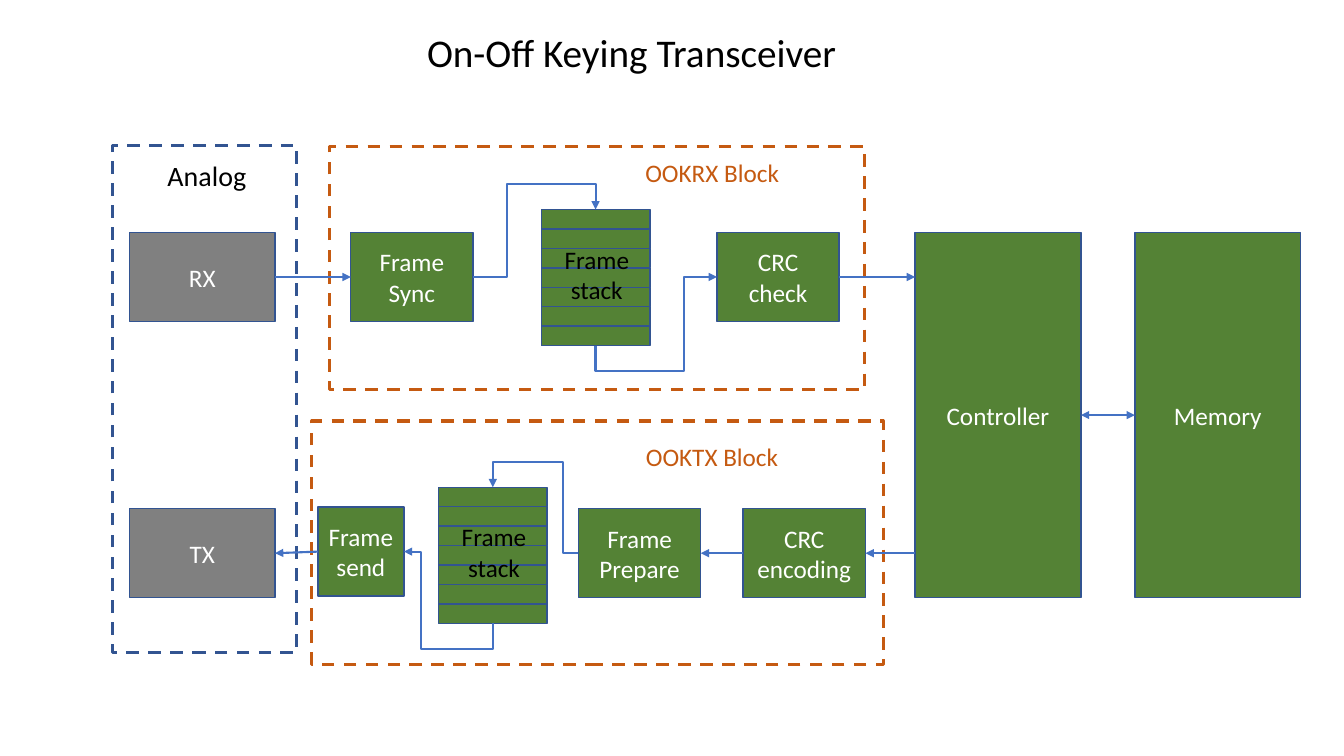
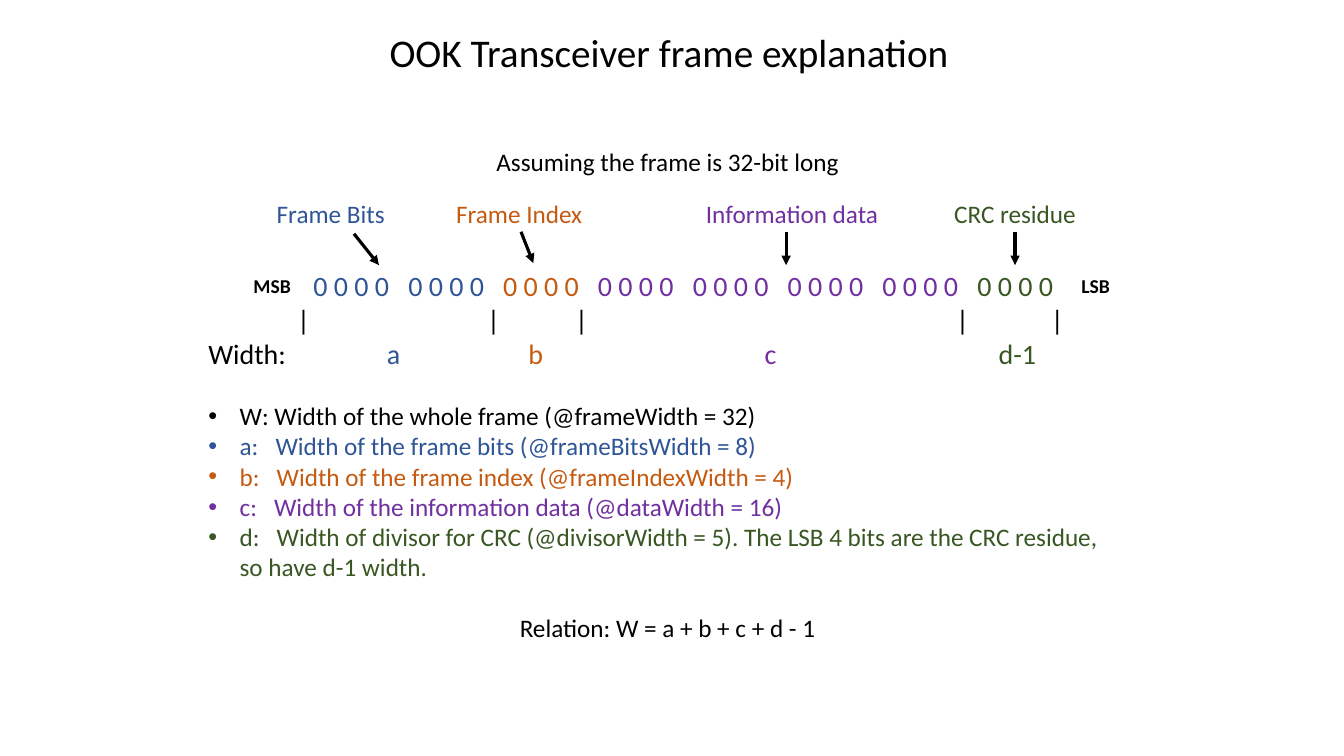
from pptx import Presentation
from pptx import util as u
from pptx.dml.color import RGBColor
from pptx.enum import dml, shapes, text
from pptx.oxml.ns import qn
from lxml import etree

FONT = "Calibri"
BLACK = RGBColor(0x00, 0x00, 0x00)
WHITE = RGBColor(0xFF, 0xFF, 0xFF)
GRAY = RGBColor(0x80, 0x80, 0x80)
GREEN = RGBColor(0x54, 0x82, 0x35)
DARK_GREEN = RGBColor(0x38, 0x57, 0x23)
OUTLINE = RGBColor(0x32, 0x54, 0x91)
ARROW_BLUE = RGBColor(0x44, 0x72, 0xC4)
BLUE = RGBColor(0x2F, 0x55, 0x97)
ORANGE = RGBColor(0xC5, 0x5A, 0x11)
PURPLE = RGBColor(0x70, 0x30, 0xA0)

CENTER = text.PP_ALIGN.CENTER
LEFT = text.PP_ALIGN.LEFT
LEFT_SITE, RIGHT_SITE = 1, 3
SLAB_COUNT, SLAB_WIDTH, SLAB_HEIGHT = 7, 2.74, 0.49
ELBOW_RISE = 0.64


# Text
def add_run(paragraph, content, size, color, bold=False):
    run = paragraph.add_run()
    run.text = content
    run.font.name = FONT
    run.font.size = u.Pt(size)
    run.font.color.rgb = color
    run.font.bold = bold
    return run


def add_text_box(slide, left, top, width, height):
    box = slide.shapes.add_textbox(u.Cm(left), u.Cm(top), u.Cm(width), u.Cm(height))
    box.text_frame.word_wrap = True
    return box.text_frame


def add_label(slide, content, left, top, width, height, size=18, color=BLACK, bold=False):
    paragraph = add_text_box(slide, left, top, width, height).paragraphs[0]
    paragraph.alignment = CENTER
    add_run(paragraph, content, size, color, bold)


def add_title(slide, content, left, width):
    add_label(slide, content, left, 0.58, width, 1.45, size=28)


def add_paragraph(frame, alignment=LEFT, before=0):
    first = frame.paragraphs[0]
    paragraph = frame.add_paragraph() if first.runs else first
    paragraph.alignment = alignment
    paragraph.space_before = u.Pt(before)
    return paragraph


def set_tabs(paragraph, positions, kind):
    tabs = etree.SubElement(paragraph._p.get_or_add_pPr(), qn("a:tabLst"))
    for position in positions:
        etree.SubElement(tabs, qn("a:tab"), pos=str(u.Cm(position)), algn=kind)


def set_bullet(paragraph):
    properties = paragraph._p.get_or_add_pPr()
    properties.set("marL", str(u.Cm(0.79)))
    properties.set("indent", str(u.Cm(-0.79)))
    etree.SubElement(properties, qn("a:buFont"), typeface="Arial")
    etree.SubElement(properties, qn("a:buChar"), char="•")


# Boxes
def add_rectangle(slide, left, top, width, height, fill, line=OUTLINE, weight=1):
    box = slide.shapes.add_shape(
        shapes.MSO_SHAPE.RECTANGLE, u.Cm(left), u.Cm(top), u.Cm(width), u.Cm(height))
    box.shadow.inherit = False
    if fill is None:
        box.fill.background()
    else:
        box.fill.solid()
        box.fill.fore_color.rgb = fill
    box.line.color.rgb = line
    box.line.width = u.Pt(weight)
    return box


def add_block(slide, content, left, top, width, height=2.24, fill=GREEN):
    block = add_rectangle(slide, left, top, width, height, fill)
    frame = block.text_frame
    frame.word_wrap = True
    frame.vertical_anchor = text.MSO_ANCHOR.MIDDLE
    frame.paragraphs[0].alignment = CENTER
    add_run(frame.paragraphs[0], content, 18, WHITE)
    return block


def add_group_border(slide, left, top, width, height, color):
    border = add_rectangle(slide, left, top, width, height, None, color, 2.25)
    border.line.dash_style = dml.MSO_LINE.DASH


def add_stack(slide, left, top):
    for index in range(SLAB_COUNT):
        add_rectangle(slide, left, top + index * SLAB_HEIGHT, SLAB_WIDTH, SLAB_HEIGHT, GREEN)
    add_label(slide, "Frame stack", left + 0.1, top + 0.74, 2.6, 1.8)


# Connectors
def style_connector(connector, color, weight, head, tail):
    connector.line.color.rgb = color
    connector.line.width = u.Pt(weight)
    properties = connector._element.find(qn("p:spPr"))
    line = properties.find(qn("a:ln"))
    for name, shown in (("a:headEnd", head), ("a:tailEnd", tail)):
        if shown:
            etree.SubElement(line, qn(name), type="triangle")
    etree.SubElement(properties, qn("a:effectLst"))


def add_arrow(slide, start, end, color=ARROW_BLUE, weight=1.5, head=False):
    connector = slide.shapes.add_connector(shapes.MSO_CONNECTOR.STRAIGHT, *start, *end)
    style_connector(connector, color, weight, head, True)
    return connector


def middle(block):
    return block.top + block.height // 2


def add_link(slide, source, target, head=False):
    """Join facing sides, level with the shorter block."""
    rightward = target.left > source.left
    start_x = source.left + (source.width if rightward else 0)
    end_x = target.left + (0 if rightward else target.width)
    start_y = middle(target if source.height > target.height else source)
    end_y = middle(source if target.height > source.height else target)
    connector = add_arrow(slide, (start_x, start_y), (end_x, end_y), head=head)
    if start_y == middle(source):
        connector.begin_connect(source, RIGHT_SITE if rightward else LEFT_SITE)
    if end_y == middle(target):
        connector.end_connect(target, LEFT_SITE if rightward else RIGHT_SITE)


def add_stack_elbow(slide, block, stack, turn, at_top):
    """Run from a block's side over the top (into) or bottom (out of) a stack."""
    stack_left, stack_top = stack
    end_x = u.Cm(stack_left + SLAB_WIDTH / 2)
    end_y = u.Cm(stack_top if at_top else stack_top + SLAB_COUNT * SLAB_HEIGHT)
    start_x = block.left + (block.width if block.left < end_x else 0)
    start_y = middle(block)
    connector = slide.shapes.add_connector(
        shapes.MSO_CONNECTOR.ELBOW, start_x, start_y, end_x, end_y)
    geometry = connector._element.find(qn("p:spPr")).find(qn("a:prstGeom"))
    geometry.set("prst", "bentConnector4")
    ratios = ((u.Cm(turn) - start_x) / (end_x - start_x),
              1 + u.Cm(ELBOW_RISE) / abs(end_y - start_y))
    guides = geometry.find(qn("a:avLst"))
    for number, ratio in enumerate(ratios, 1):
        etree.SubElement(guides, qn("a:gd"), name=f"adj{number}",
                         fmla=f"val {round(ratio * 100000)}")
    style_connector(connector, ARROW_BLUE, 1.5, not at_top, at_top)


# Slides
def build_transceiver(slide):
    add_title(slide, "On-Off Keying Transceiver", 10.2, 11.43)
    receive_top, send_top = 5.86, 12.82
    receive_stack, send_stack = (13.64, 5.28), (11.05, 12.28)

    # Analog part, controller and memory
    receiver = add_block(slide, "RX", 3.27, receive_top, 3.66, fill=GRAY)
    transmitter = add_block(slide, "TX", 3.27, send_top, 3.66, fill=GRAY)
    controller = add_block(slide, "Controller", 23.06, receive_top, 4.18, 9.2)
    memory = add_block(slide, "Memory", 28.6, receive_top, 4.18, 9.2)
    add_group_border(slide, 2.83, 3.66, 4.65, 12.78, OUTLINE)
    add_label(slide, "Analog", 3.96, 3.88, 2.51, 1.1, size=20)

    # Receiving chain
    sync = add_block(slide, "Frame Sync", 8.84, receive_top, 3.08)
    check = add_block(slide, "CRC check", 18.07, receive_top, 3.08)
    add_stack(slide, *receive_stack)
    add_group_border(slide, 8.31, 3.69, 13.48, 6.13, ORANGE)
    add_label(slide, "OOKRX Block", 15.93, 3.84, 4.04, 1.02, color=ORANGE)

    # Sending chain
    send = add_block(slide, "Frame send", 8.01, 12.78, 2.17)
    prepare = add_block(slide, "Frame Prepare", 14.58, send_top, 3.08)
    encoding = add_block(slide, "CRC encoding", 18.73, send_top, 3.08)
    add_stack(slide, *send_stack)
    add_group_border(slide, 7.86, 10.61, 14.4, 6.13, ORANGE)
    add_label(slide, "OOKTX Block", 16, 11, 3.89, 1.02, color=ORANGE)

    # Data flow
    for source, target in ((receiver, sync), (check, controller), (controller, encoding),
                           (encoding, prepare), (send, transmitter)):
        add_link(slide, source, target)
    add_link(slide, controller, memory, head=True)
    add_stack_elbow(slide, sync, receive_stack, 12.78, at_top=True)
    add_stack_elbow(slide, check, receive_stack, 17.23, at_top=False)
    add_stack_elbow(slide, prepare, send_stack, 14.2, at_top=True)
    add_stack_elbow(slide, send, send_stack, 10.62, at_top=False)


def add_frame_layout(frame):
    # Bits in groups of four
    bits = add_paragraph(frame, before=66)
    set_tabs(bits, [2.65 + 2.39 * index for index in range(8)], "l")
    for group_count, color in ((2, BLUE), (1, ORANGE), (4, PURPLE), (1, DARK_GREEN)):
        add_run(bits, "\t0 0 0 0" * group_count, 20, color)

    # Field limits and widths
    limits = add_paragraph(frame)
    set_tabs(limits, (2.4, 7.19, 9.41, 19.01, 21.4), "ctr")
    add_run(limits, "\t|" * 5, 20, BLACK)
    widths = add_paragraph(frame)
    set_tabs(widths, (4.67, 8.25, 14.17, 20.39), "ctr")
    add_run(widths, "Width:", 20, BLACK)
    for name, color in (("a", BLUE), ("b", ORANGE), ("c", PURPLE), ("d-1", DARK_GREEN)):
        add_run(widths, "\t" + name, 20, color)


def add_definitions(frame):
    definitions = (
        ("W:", "Width of the whole frame (@frameWidth = 32)", BLACK),
        ("a:", "Width of the frame bits (@frameBitsWidth = 8)", BLUE),
        ("b:", "Width of the frame index (@frameIndexWidth = 4)", ORANGE),
        ("c:", "Width of the information data (@dataWidth = 16)", PURPLE),
        ("d:", "Width of divisor for CRC (@divisorWidth = 5). The LSB 4 bits are "
               "the CRC residue, so have d-1 width.", DARK_GREEN),
    )
    for index, (symbol, meaning, color) in enumerate(definitions):
        paragraph = add_paragraph(frame, before=0 if index else 22)
        set_bullet(paragraph)
        add_run(paragraph, symbol, 18, color)
        gap = add_run(paragraph, " ", 18, color)
        if index:
            gap.font._element.set("spc", "810")
        add_run(paragraph, meaning, 18, color)


def build_frame_explanation(slide):
    add_title(slide, "OOK Transceiver frame explanation", 6.48, 20.75)
    frame = add_text_box(slide, 5, 3.56, 23.65, 14.35)
    add_run(add_paragraph(frame, CENTER), "Assuming the frame is 32-bit long", 18, BLACK)
    add_frame_layout(frame)
    add_definitions(frame)
    add_run(add_paragraph(frame, CENTER, before=22),
            "Relation: W = a + b + c + d - 1", 18, BLACK)

    # Field names and their pointers
    fields = (
        ("Frame Bits", 6.48, 3.71, BLUE, (8.92, 5.89), (9.55, 6.68)),
        ("Frame Index", 11.23, 3.71, ORANGE, (13.13, 5.84), (13.44, 6.63)),
        ("Information data", 17.42, 5.08, PURPLE, (19.81, 5.84), (19.81, 6.68)),
        ("CRC residue", 23.04, 5.08, DARK_GREEN, (25.58, 5.84), (25.58, 6.68)),
    )
    for name, left, width, color, start, end in fields:
        add_label(slide, name, left, 4.88, width, 1.02, color=color)
        add_arrow(slide, map(u.Cm, start), map(u.Cm, end), BLACK, 2.25)
    for name, left in (("MSB", 5.82), ("LSB", 26.57)):
        add_label(slide, name, left, 6.78, 2.08, 0.86, size=14, bold=True)


def main():
    presentation = Presentation()
    presentation.slide_width = u.Cm(33.87)
    presentation.slide_height = u.Cm(19.05)
    blank = presentation.slide_layouts[6]
    for build in (build_transceiver, build_frame_explanation):
        build(presentation.slides.add_slide(blank))
    presentation.save("out.pptx")


main()
